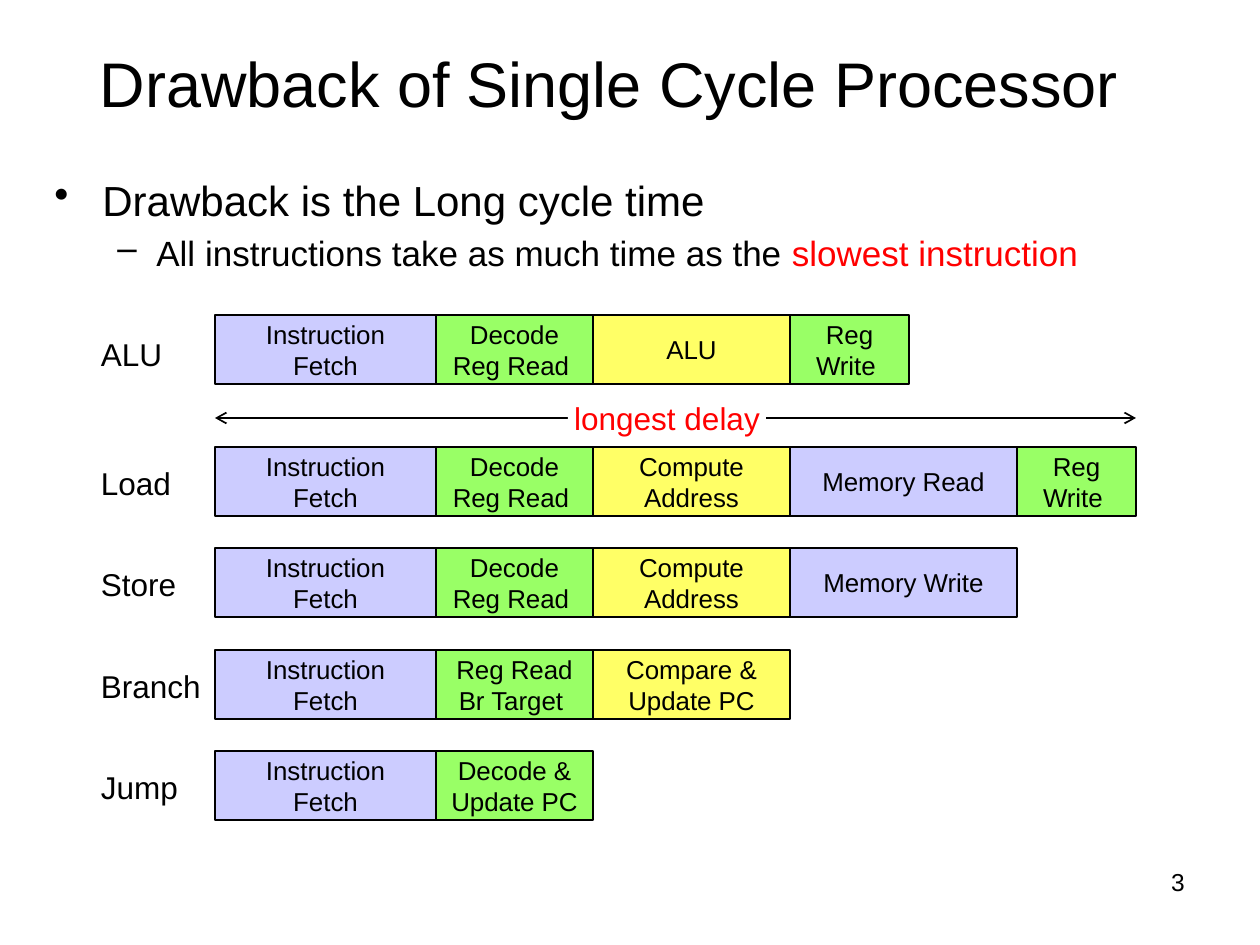
from dataclasses import dataclass
from typing import Any

import pptx
import pptx.dml.color
import pptx.enum.shapes
import pptx.enum.text
import pptx.oxml
import pptx.oxml.ns
import pptx.util

EMU_PER_PX = 914400 // 126
FONT = "Arial"
COLORS = {
    "text": "000000",
    "accent": "FF0000",
    "paper": "FFFFFF",
    "memory": "CCCCFF",
    "register": "99FF66",
    "compute": "FFFF66",
}
STAGE_EDGES = [215, 436, 593, 790, 1017, 1136]
STAGE_HEIGHT = 69
LABEL_LEFT, LABEL_WIDTH, LABEL_HEIGHT = 101, 115, 47

ALIGN = pptx.enum.text.PP_ALIGN
MIDDLE = pptx.enum.text.MSO_ANCHOR.MIDDLE
RECTANGLE = pptx.enum.shapes.MSO_SHAPE.RECTANGLE


@dataclass(frozen=True)
class Stage:
    text: str
    color: str
    span: int  # column in STAGE_EDGES


@dataclass(frozen=True)
class Instruction:
    name: str
    top: int
    label_top: int
    stages: tuple[Stage, ...]


FETCH = Stage("Instruction\nFetch", "memory", 0)
DECODE = Stage("Decode\nReg Read ", "register", 1)
ADDRESS = Stage("Compute\nAddress", "compute", 2)

INSTRUCTIONS = [
    Instruction("ALU", 315, 330, (
        FETCH, DECODE, Stage("ALU", "compute", 2), Stage("Reg\nWrite ", "register", 3))),
    Instruction("Load", 447, 459, (
        FETCH, DECODE, ADDRESS, Stage("Memory Read", "memory", 3),
        Stage("Reg\nWrite ", "register", 4))),
    Instruction("Store", 548, 560, (
        FETCH, DECODE, ADDRESS, Stage("Memory Write", "memory", 3))),
    Instruction("Branch", 650, 662, (
        FETCH, Stage("Reg Read\nBr Target ", "register", 1),
        Stage("Compare &\nUpdate PC", "compute", 2))),
    Instruction("Jump", 751, 763, (
        FETCH, Stage("Decode &\nUpdate PC", "register", 1))),
]
ALU_WRITE_WIDTH = 119


def px(*lengths: int) -> list[int]:
    return [pptx.util.Emu(length * EMU_PER_PX) for length in lengths]


def rgb(name: str) -> pptx.dml.color.RGBColor:
    return pptx.dml.color.RGBColor.from_string(COLORS[name])


def style_run(run: Any, size: float, color: str = "text") -> None:
    for key, value in {"name": FONT, "size": pptx.util.Pt(size)}.items():
        setattr(run.font, key, value)
    run.font.color.rgb = rgb(color)


def write(shape: Any, text: str, size: float, align: Any, color: str = "text") -> None:
    """Fill a shape with evenly styled paragraphs, one for each line."""
    frame = shape.text_frame
    frame.word_wrap = True
    frame.text = text
    for paragraph in frame.paragraphs:
        paragraph.alignment = align
        for run in paragraph.runs:
            style_run(run, size, color)


def tighten(shape: Any) -> None:
    """Centre text vertically between narrow margins."""
    margins = px(0, 5)
    settings = {
        "margin_left": margins[0], "margin_right": margins[0],
        "margin_top": margins[1], "margin_bottom": margins[1],
        "vertical_anchor": MIDDLE,
    }
    for key, value in settings.items():
        setattr(shape.text_frame, key, value)


def add_box(shapes: Any, bounds: tuple[int, int, int, int], color: str,
            outlined: bool) -> Any:
    box = shapes.add_shape(RECTANGLE, *px(*bounds))
    box.shadow.inherit = False
    box.fill.solid()
    box.fill.fore_color.rgb = rgb(color)
    if outlined:
        box.line.color.rgb = rgb("text")
        box.line.width = pptx.util.Pt(1.5)
    else:
        box.line.fill.background()
    tighten(box)
    return box


def add_instruction(slide: Any, instruction: Instruction) -> None:
    row = slide.shapes.add_group_shape().shapes
    label = row.add_textbox(*px(LABEL_LEFT, instruction.label_top, LABEL_WIDTH, LABEL_HEIGHT))
    tighten(label)
    write(label, instruction.name, 18, ALIGN.LEFT)
    for stage in instruction.stages:
        left, right = STAGE_EDGES[stage.span:stage.span + 2]
        width = ALU_WRITE_WIDTH if stage.text.startswith("Reg\n") else right - left
        box = add_box(row, (left, instruction.top, width, STAGE_HEIGHT), stage.color, True)
        write(box, stage.text, 14.8, ALIGN.CENTER)


def add_delay_span(slide: Any) -> None:
    left, right, level = STAGE_EDGES[0], STAGE_EDGES[-1], 418
    arrow = slide.shapes.add_connector(
        pptx.enum.shapes.MSO_CONNECTOR.STRAIGHT, *px(left, level, right, level))
    arrow.line.color.rgb = rgb("text")
    arrow.line.width = pptx.util.Pt(1)
    line = arrow.line._get_or_add_ln()
    for end in ("headEnd", "tailEnd"):
        pptx.oxml.ns.qn("a:" + end)
        line.append(pptx.oxml.parse_xml(
            f'<a:{end} {pptx.oxml.ns.nsdecls("a")} type="arrow"/>'))
    arrow._element.spPr.append(pptx.oxml.parse_xml(
        f'<a:effectLst {pptx.oxml.ns.nsdecls("a")}/>'))
    label = add_box(slide.shapes, (568, 404, 198, 28), "paper", False)
    write(label, "longest delay", 18, ALIGN.CENTER, "accent")


def add_bullet(paragraph: Any, mark: str, margin: int, hanging: int, before: float) -> None:
    paragraph.space_before = pptx.util.Pt(before)
    properties = paragraph._p.get_or_add_pPr()
    for key, length in zip(("marL", "indent"), px(margin, -hanging)):
        properties.set(key, str(int(length)))
    properties.append(pptx.oxml.parse_xml(
        f'<a:buChar {pptx.oxml.ns.nsdecls("a")} char="{mark}"/>'))


def add_points(slide: Any) -> None:
    frame = slide.shapes.add_textbox(*px(42, 168, 1176, 118)).text_frame
    frame.word_wrap = True
    drawback = frame.paragraphs[0]
    add_bullet(drawback, "•", 48, 48, 4.8)
    detail = frame.add_paragraph()
    detail.level = 1
    add_bullet(detail, "–", 102, 39, 4)
    for paragraph, text, size, color in (
        (drawback, "Drawback is the Long cycle time", 24, "text"),
        (detail, "All instructions take as much time as the ", 20, "text"),
        (detail, "slowest instruction", 20, "accent"),
    ):
        run = paragraph.add_run()
        run.text = text
        style_run(run, size, color)


def main() -> None:
    deck = pptx.Presentation()
    deck.slide_width, deck.slide_height = px(1260, 945)
    slide = deck.slides.add_slide(deck.slide_layouts[5])

    title = slide.shapes.title
    for key, value in zip(("left", "top", "width", "height"), px(42, 4, 1134, 157)):
        setattr(title, key, value)
    write(title, "Drawback of Single Cycle Processor", 36, ALIGN.CENTER)
    title.text_frame.vertical_anchor = MIDDLE

    add_points(slide)
    add_delay_span(slide)
    for instruction in INSTRUCTIONS:
        add_instruction(slide, instruction)
    page_number = slide.shapes.add_textbox(*px(903, 861, 294, 65))
    write(page_number, "3", 14, ALIGN.RIGHT)

    deck.save("out.pptx")


if __name__ == "__main__":
    main()
